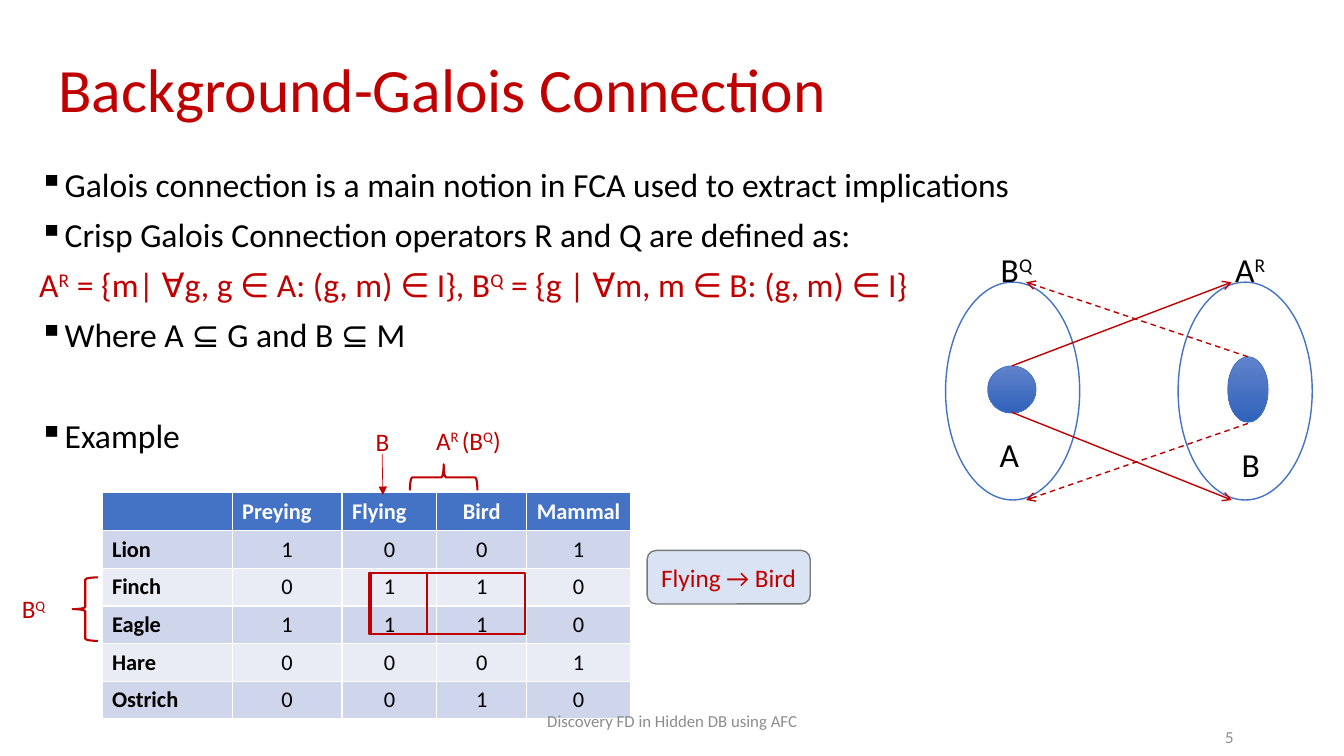
from lxml import etree
from pptx import Presentation
from pptx.dml.color import RGBColor
from pptx.enum import dml, shapes, text
from pptx.oxml import ns
from pptx.util import Cm, Pt

RED = RGBColor(0xC0, 0x00, 0x00)
BLUE = RGBColor(0x44, 0x72, 0xC4)
LIGHT_BLUE = RGBColor(0xDA, 0xE3, 0xF3)
GRADIENT_TOP = RGBColor(0x61, 0x83, 0xCB)
GRADIENT_BOTTOM = RGBColor(0x30, 0x62, 0xBB)
ROW_DARK = RGBColor(0xCF, 0xD5, 0xEA)
ROW_LIGHT = RGBColor(0xE9, 0xEB, 0xF5)
GRAY = RGBColor(0x8C, 0x8C, 0x8C)
BORDER_GRAY = RGBColor(0x7A, 0x7A, 0x7A)
BLACK = RGBColor(0, 0, 0)
WHITE = RGBColor(0xFF, 0xFF, 0xFF)

LEFT, CENTER, RIGHT = text.PP_ALIGN.LEFT, text.PP_ALIGN.CENTER, text.PP_ALIGN.RIGHT
TOP, MIDDLE = text.MSO_ANCHOR.TOP, text.MSO_ANCHOR.MIDDLE
PRESET = shapes.MSO_SHAPE


def write(frame, content, paragraph=None, size=18, color=BLACK, bold=False,
          align=LEFT, anchor=TOP):
    """Write content into a frame; parts between ^ marks are superscript."""
    frame.word_wrap = True
    frame.vertical_anchor = anchor
    paragraph = paragraph or frame.paragraphs[0]
    paragraph.alignment = align
    for index, part in enumerate(content.split("^")):
        if not part:
            continue
        run = paragraph.add_run()
        run.text = part
        run.font.name = "Calibri"
        run.font.size = Pt(size)
        run.font.color.rgb = color
        run.font.bold = bold
        if index % 2:
            run.font._element.set("baseline", "30000")
    return paragraph


def add_outlined(preset, box, line=RED, width=1.5, fill=None):
    shape = slide.shapes.add_shape(preset, *map(Cm, box))
    shape.shadow.inherit = False
    shape.line.color.rgb = line
    shape.line.width = Pt(width)
    if fill is None:
        shape.fill.background()
    else:
        shape.fill.solid()
        shape.fill.fore_color.rgb = fill
    return shape


presentation = Presentation()
presentation.slide_width = Cm(33.87)
presentation.slide_height = Cm(19.05)
slide = presentation.slides.add_slide(presentation.slide_layouts[6])

# Animal table
rows = [
    ("", "Preying", "Flying", "Bird", "Mammal"),
    ("Lion", "1", "0", "0", "1"),
    ("Finch", "0", "1", "1", "0"),
    ("Eagle", "1", "1", "1", "0"),
    ("Hare", "0", "0", "0", "1"),
    ("Ostrich", "0", "0", "1", "0"),
]
column_widths = [3.28, 2.77, 2.39, 2.26, 2.62]
row_height = 0.95
table = slide.shapes.add_table(
    len(rows), len(column_widths), Cm(2.57), Cm(12.42),
    Cm(sum(column_widths)), Cm(row_height * len(rows))).table
for column, width in zip(table.columns, column_widths):
    column.width = Cm(width)
for row_index, row in enumerate(rows):
    table.rows[row_index].height = Cm(row_height)
    is_header = row_index == 0
    for column_index, value in enumerate(row):
        cell = table.cell(row_index, column_index)
        cell.margin_top = cell.margin_bottom = 0
        cell.vertical_anchor = MIDDLE
        cell.fill.solid()
        cell.fill.fore_color.rgb = (
            BLUE if is_header else ROW_DARK if row_index % 2 else ROW_LIGHT)
        is_left = column_index == 0 or (is_header and column_index < 3)
        write(cell.text_frame, value, size=16, color=WHITE if is_header else BLACK,
              bold=is_header or column_index == 0,
              align=LEFT if is_left else CENTER, anchor=MIDDLE)

# Bulleted body
body = slide.shapes.add_textbox(Cm(0.74), Cm(4.11), Cm(32.69), Cm(14.55)).text_frame
body_lines = [
    # text, colour, bulleted, space before
    ("Galois connection is a main notion in FCA used to extract implications", BLACK, True, 10),
    ("Crisp Galois Connection operators R and Q are defined as:", BLACK, True, 10),
    ("A^R^ = {m| Ɐg, g ∈ A: (g, m) ∈ I}, B^Q^ = {g | Ɐm, m ∈ B: (g, m) ∈ I}", RED, False, 10),
    ("Where A ⊆ G and B ⊆ M", BLACK, True, 10),
    ("Example", BLACK, True, 46),
]
for index, (content, color, bulleted, space_before) in enumerate(body_lines):
    paragraph = body.add_paragraph() if index else body.paragraphs[0]
    write(body, content, paragraph, size=24, color=color)
    paragraph.line_spacing = 0.9
    paragraph.space_before = Pt(space_before)
    if bulleted:
        properties = paragraph._p.get_or_add_pPr()
        properties.set("marL", str(Cm(0.64)))
        properties.set("indent", str(-Cm(0.64)))
        etree.SubElement(properties, ns.qn("a:buChar")).set("char", "▪")

# Table marks and the implication
add_outlined(PRESET.RECTANGLE, (9.3, 14.45, 1.47, 1.52))
add_outlined(PRESET.RECTANGLE, (9.35, 14.45, 3.89, 1.52))
add_outlined(PRESET.LEFT_BRACE, (1.83, 14.55, 0.64, 1.6))
add_outlined(PRESET.LEFT_BRACE, (10.85, 11.18, 0.66, 1.7)).rotation = 90
implication = add_outlined(PRESET.ROUNDED_RECTANGLE, (16.31, 13.87, 4.11, 1.35),
                           line=BORDER_GRAY, width=1, fill=LIGHT_BLUE)
write(implication.text_frame, "Flying → Bird", color=RED, align=CENTER, anchor=MIDDLE)

# Sets of objects and attributes
for left in (23.83, 29.69):
    add_outlined(PRESET.OVAL, (left, 7.11, 3.38, 5.49), line=BLUE, width=1, fill=WHITE)
for box in ((24.89, 9.22, 1.22, 1.19), (30.94, 8.99, 1.02, 1.65)):
    subset = add_outlined(PRESET.OVAL, box, line=BLUE, width=0.5)
    subset.fill.gradient()
    subset.fill.gradient_angle = 270
    for stop, color in zip(subset.fill.gradient_stops, (GRADIENT_TOP, GRADIENT_BOTTOM)):
        stop.color.rgb = color

# Titles and labels
heading = dict(size=44, color=RED, anchor=MIDDLE)
footer = dict(size=12, color=GRAY, anchor=MIDDLE)
mark = dict(color=RED)
set_label = dict(size=24, align=CENTER)
labels = [
    ("Background-Galois Connection", (1.22, 0.38, 29.21, 3.68), heading),
    ("B", (9.22, 10.62, 0.81, 1.02), mark),
    ("B^Q^", (0.3, 14.83, 1.17, 1.02), mark),
    ("A^R ^(B^Q^)", (10.74, 10.59, 2.29, 1.02), mark),
    ("A", (24.94, 10.8, 0.91, 0.86), set_label),
    ("B^Q^", (24.69, 6.15, 1.85, 1.27), set_label),
    ("A^R^", (30.58, 6.15, 1.85, 1.27), set_label),
    ("B", (31.04, 11.07, 0.91, 0.86), set_label),
    ("Discovery FD in Hidden DB using AFC", (11.23, 17.65, 11.43, 1.02),
     dict(footer, align=CENTER)),
    ("5", (23.72, 18.06, 7.62, 1.02), dict(footer, align=RIGHT)),
]
for content, box, style in labels:
    label = slide.shapes.add_textbox(*map(Cm, box))
    write(label.text_frame, content, **style)

# Arrows: ends, width, head, dashed
arrows = [
    ((9.63, 11.43, 9.65, 12.47), 0.5, "triangle", False),
    ((25.5, 10.39, 31.04, 12.6), 1, "arrow", False),
    ((31.45, 8.99, 25.86, 7.11), 1, "arrow", True),
    ((25.5, 9.22, 31.04, 7.11), 1, "arrow", False),
    ((31.45, 10.67, 25.86, 12.6), 1, "arrow", True),
]
for ends, width, head, dashed in arrows:
    arrow = slide.shapes.add_connector(shapes.MSO_CONNECTOR.STRAIGHT, *map(Cm, ends))
    arrow.line.color.rgb = RED
    arrow.line.width = Pt(width)
    if dashed:
        arrow.line.dash_style = dml.MSO_LINE.DASH
    etree.SubElement(arrow.line._get_or_add_ln(), ns.qn("a:tailEnd")).set("type", head)
    etree.SubElement(arrow._element.spPr, ns.qn("a:effectLst"))

presentation.save("out.pptx")
